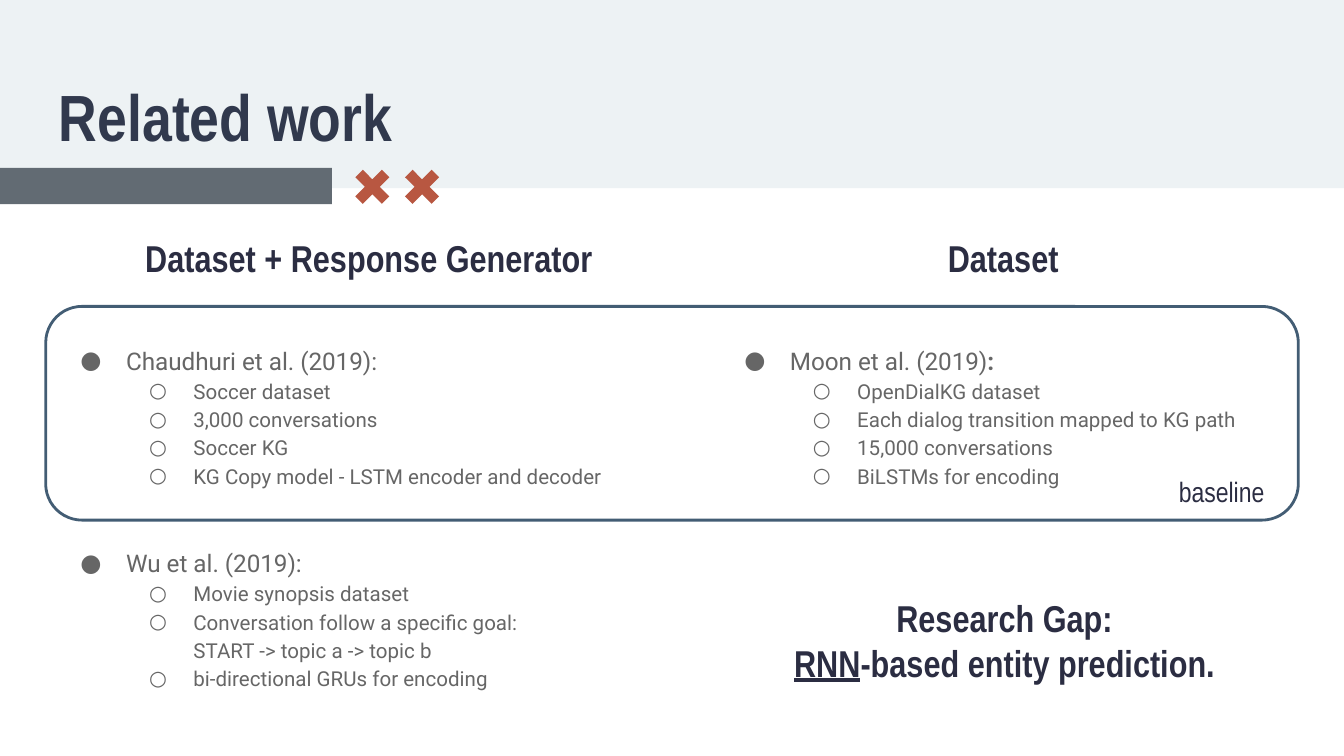
from collections import namedtuple

from lxml.etree import SubElement
from pptx import Presentation
from pptx.dml.color import RGBColor
from pptx.enum.shapes import MSO_SHAPE as Preset
from pptx.enum.text import MSO_ANCHOR as Anchor, PP_ALIGN as Align
from pptx.oxml.ns import qn
from pptx.util import Inches, Pt

PALE = RGBColor(0xED, 0xF2, 0xF4)
SLATE = RGBColor(0x62, 0x6B, 0x73)
RUST = RGBColor(0xB8, 0x57, 0x41)
STEEL = RGBColor(0x43, 0x5D, 0x74)
NAVY = RGBColor(0x31, 0x39, 0x4D)
INK = RGBColor(0x2B, 0x2D, 0x42)
GRAY = RGBColor(0x66, 0x66, 0x66)
DISPLAY = "Arial Narrow"
BODY = "Roboto"

UNIT = Inches(0.1)
COLUMNS, ROWS = 100, 56.25
MARGIN = 3.4
CONTENT = COLUMNS - 2 * MARGIN

Box = namedtuple("Box", "left top width height")
Entry = namedtuple("Entry", "source details gap")

GENERATORS = [
    Entry("Chaudhuri et al. (2019):", [
        "Soccer dataset",
        "3,000 conversations",
        "Soccer KG",
        "KG Copy model - LSTM encoder and decoder",
    ], 33),
    Entry("Wu et al. (2019):", [
        "Movie synopsis dataset",
        "Conversation follow a specific goal:\vSTART -> topic a -> topic b",
        "bi-directional GRUs for encoding",
    ], 30),
]
DATASETS = [
    Entry("Moon et al. (2019)", [
        "OpenDialKG dataset",
        "Each dialog transition mapped to KG path",
        "15,000 conversations",
        "BiLSTMs for encoding",
    ], 33),
]


def measure(box):
    return [round(length * UNIT) for length in box]


def add_preset(slide, preset, box, fill=None, line=None):
    shape = slide.shapes.add_shape(preset, *measure(box))
    shape.shadow.inherit = False
    if fill is None:
        shape.fill.background()
    else:
        shape.fill.solid()
        shape.fill.fore_color.rgb = fill
    if line is None:
        shape.line.fill.background()
    else:
        shape.line.color.rgb = line
        shape.line.width = Pt(1.5)
    return shape


def prepare_frame(shape, anchor=Anchor.TOP):
    frame = shape.text_frame
    frame.word_wrap = True
    frame.vertical_anchor = anchor
    frame.margin_left = frame.margin_right = UNIT
    frame.margin_top = frame.margin_bottom = UNIT
    return frame


def add_text(slide, box, anchor=Anchor.TOP):
    return prepare_frame(slide.shapes.add_textbox(*measure(box)), anchor)


def style_runs(paragraph, font_name, size, color, bold=False):
    for run in paragraph.runs:
        font = run.font
        font.name, font.size, font.bold = font_name, Pt(size), bold
        font.color.rgb = color


def set_heading(paragraph, text):
    paragraph.text = text
    paragraph.alignment = Align.CENTER
    style_runs(paragraph, DISPLAY, 20, INK, True)


def add_bullet(frame, text, level, gap=0):
    paragraph = frame.add_paragraph()
    paragraph.text = text
    paragraph.level = level
    paragraph.line_spacing = 1.15
    paragraph.space_before = Pt(gap)
    style_runs(paragraph, BODY, (13, 11)[level], GRAY)
    properties = paragraph._p.get_or_add_pPr()
    properties.set("marL", str(Inches((0.5, 1)[level])))
    properties.set("indent", str(-Inches((0.34, 0.33)[level])))
    color = SubElement(properties, qn("a:buClr"))
    SubElement(color, qn("a:srgbClr"), val=str(GRAY))
    SubElement(properties, qn("a:buFont"), typeface=BODY)
    SubElement(properties, qn("a:buChar"), char="●○"[level])
    return paragraph


def add_header(slide, box):
    add_preset(slide, Preset.RECTANGLE, box, PALE)
    bar_top = box.top + box.height - 1.5
    add_preset(slide, Preset.RECTANGLE, Box(box.left, bar_top, 24.7, 2.7), SLATE)
    for index in range(2):
        cross_box = Box(box.left + 26.3 + 3.7 * index, bar_top, 2.8, 2.8)
        cross = add_preset(slide, Preset.CROSS, cross_box, RUST)
        cross.adjustments[0] = 0.36
        cross.rotation = 45
    title_box = Box(box.left + MARGIN, box.top + 4.7, box.width - 2 * MARGIN, 6.8)
    frame = prepare_frame(add_preset(slide, Preset.RECTANGLE, title_box, PALE))
    paragraph = frame.paragraphs[0]
    paragraph.text = "Related work"
    paragraph.alignment = Align.LEFT
    style_runs(paragraph, DISPLAY, 35, NAVY, True)


def add_baseline_frame(slide, box):
    frame_shape = add_preset(slide, Preset.ROUNDED_RECTANGLE, box, line=STEEL)
    frame_shape.adjustments[0] = 0.17
    width, height = 8.8, 4.4
    label_box = Box(box.left + box.width - width - 1.3,
                    box.top + box.height - height, width, height)
    paragraph = add_text(slide, label_box).paragraphs[0]
    paragraph.text = "baseline"
    paragraph.alignment = Align.CENTER
    style_runs(paragraph, DISPLAY, 15, INK)


def add_work_column(slide, box, heading, entries):
    frame = add_text(slide, box)
    set_heading(frame.paragraphs[0], heading)
    sources = []
    for entry in entries:
        sources.append(add_bullet(frame, entry.source, 0, entry.gap))
        for detail in entry.details:
            add_bullet(frame, detail, 1)
    return sources


def add_research_gap(slide, box):
    frame = add_text(slide, box, Anchor.MIDDLE)
    set_heading(frame.paragraphs[0], "Research Gap:")
    paragraph = frame.add_paragraph()
    set_heading(paragraph, "RNN")
    paragraph.runs[0].font.underline = True
    paragraph.add_run().text = "-based entity prediction."
    style_runs(paragraph, DISPLAY, 20, INK, True)


def main():
    presentation = Presentation()
    presentation.slide_width = round(COLUMNS * UNIT)
    presentation.slide_height = round(ROWS * UNIT)
    slide = presentation.slides.add_slide(presentation.slide_layouts[6])
    add_header(slide, Box(0, 0, COLUMNS, 14))
    add_baseline_frame(slide, Box(MARGIN, 22.8, CONTENT, 15.9))
    add_work_column(slide, Box(MARGIN, 16.5, 48.1, 33.6),
                    "Dataset + Response Generator", GENERATORS)
    sources = add_work_column(slide, Box(52.8, 16.5, 43.7, 33.6),
                              "Dataset", DATASETS)
    colon = sources[0].add_run()
    colon.text = ":"
    style_runs(sources[0], BODY, 13, GRAY)
    colon.font.bold = True
    add_research_gap(slide, Box(55.9, 45.2, 37.7, 4.9))
    presentation.save("out.pptx")


if __name__ == "__main__":
    main()
